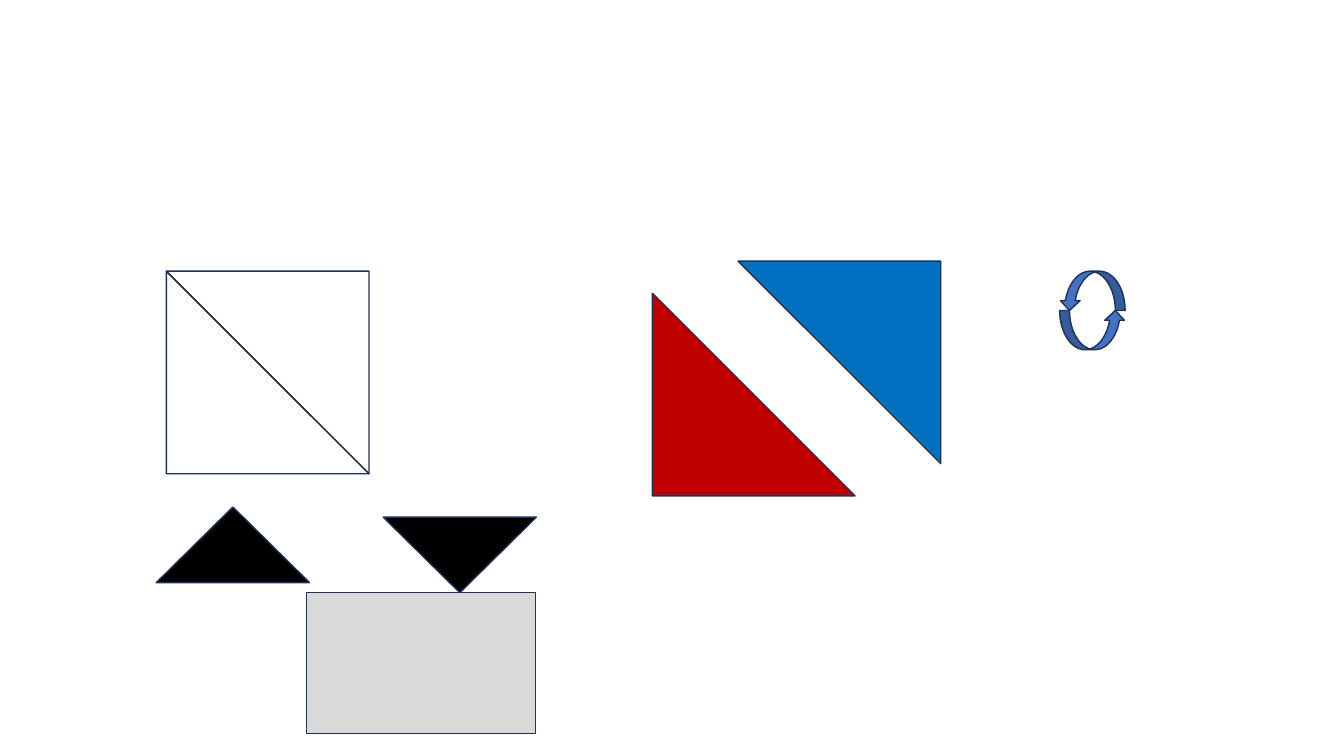
from dataclasses import dataclass

from pptx import Presentation
from pptx.dml.color import RGBColor
from pptx.enum.shapes import MSO_SHAPE
from pptx.util import Inches, Pt


@dataclass(frozen=True)
class Theme:
    outline: str = "1E3256"
    red: str = "C00000"
    blue: str = "0070C0"
    arrow: str = "4472C4"
    black: str = "000000"
    gray: str = "D9D9D9"
    line_width: float = 1


class ShapeSlide:
    def __init__(self, page, theme):
        self.page = page
        self.theme = theme

    def shape(self, kind, left, top, width, height, fill=None):
        """Add an outlined shape, hollow when no fill is given."""
        shape = self.page.shapes.add_shape(
            kind, Inches(left), Inches(top), Inches(width), Inches(height))
        shape.shadow.inherit = False
        if fill:
            shape.fill.solid()
            shape.fill.fore_color.rgb = RGBColor.from_string(fill)
        else:
            shape.fill.background()
        shape.line.color.rgb = RGBColor.from_string(self.theme.outline)
        shape.line.width = Pt(self.theme.line_width)
        return shape

    def half_square(self, left, top, fill=None, rotation=0):
        side = 2.01
        half = self.shape(MSO_SHAPE.RIGHT_TRIANGLE, left, top, side, side, fill)
        half.rotation = rotation

    def triangle(self, left, top, fill, rotation=0):
        triangle = self.shape(
            MSO_SHAPE.ISOSCELES_TRIANGLE, left, top, 1.52, 0.75, fill)
        triangle.rotation = rotation

    def cycle(self, left, top, fill):
        """Add two curved arrows that chase each other."""
        width, height = 0.65, 0.39
        self.shape(MSO_SHAPE.CURVED_UP_ARROW, left, top + height, width, height, fill)
        upper = self.shape(MSO_SHAPE.CURVED_DOWN_ARROW, left, top, width, height, fill)
        upper.element.spPr.get_or_add_xfrm().set("flipH", "1")

    def rectangle(self, left, top, width, height, fill):
        self.shape(MSO_SHAPE.RECTANGLE, left, top, width, height, fill)


def main():
    deck = Presentation()
    deck.slide_width, deck.slide_height = Inches(13.33), Inches(7.5)
    theme = Theme()
    slide = ShapeSlide(deck.slides.add_slide(deck.slide_layouts[6]), theme)

    for rotation in (0, 180):
        slide.half_square(1.65, 2.69, rotation=rotation)
    slide.half_square(6.47, 2.91, theme.red)
    slide.half_square(7.32, 2.59, theme.blue, rotation=180)
    slide.cycle(10.51, 2.69, theme.arrow)
    slide.triangle(1.55, 5.03, theme.black)
    slide.triangle(3.8, 5.13, theme.black, rotation=180)
    slide.rectangle(3.04, 5.88, 2.27, 1.4, theme.gray)

    deck.save("out.pptx")


if __name__ == "__main__":
    main()
